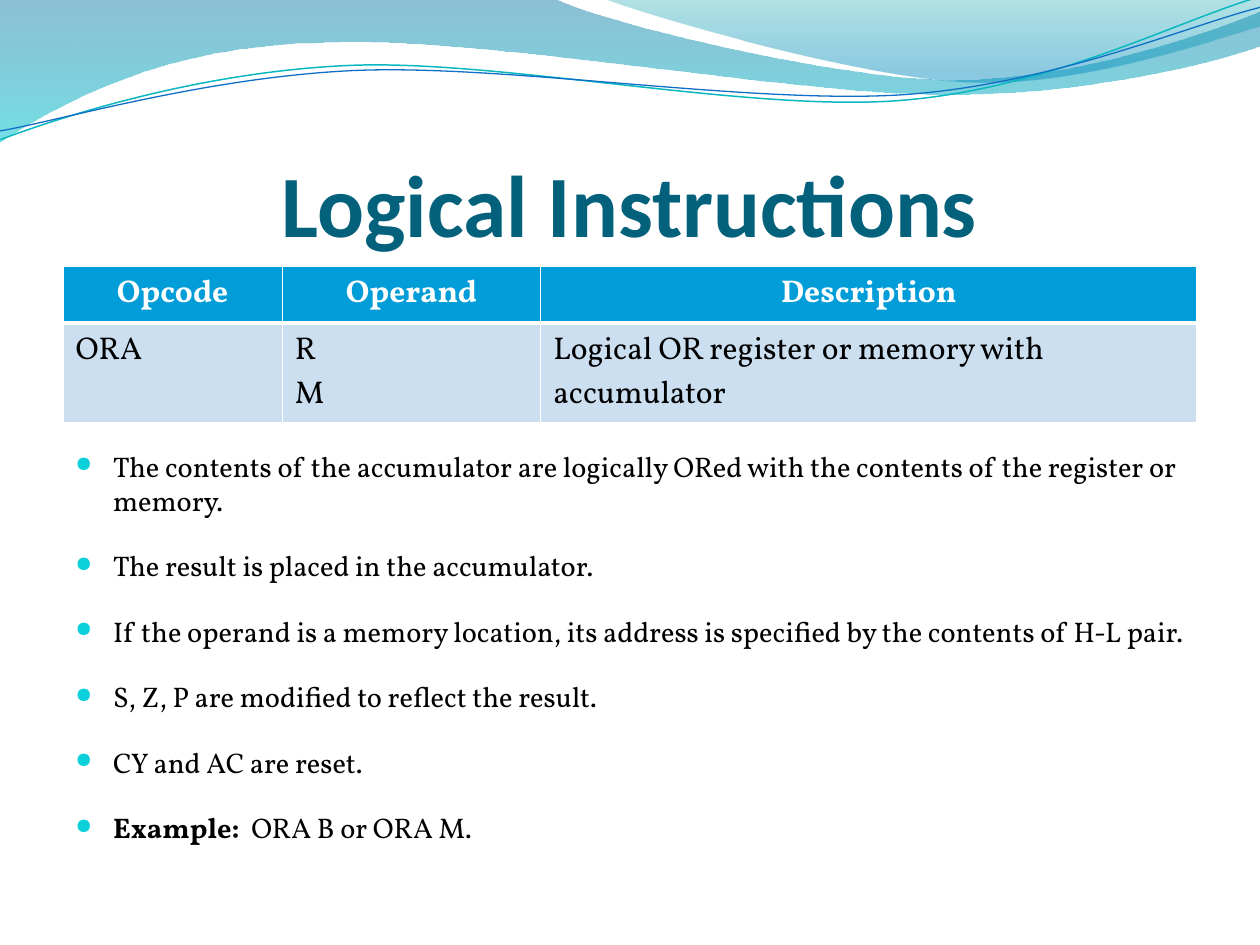
import pptx
import pptx.util
import pptx.dml.color
import pptx.enum.text
import pptx.oxml.ns
from lxml import etree

Cm = pptx.util.Cm
Pt = pptx.util.Pt
qn = pptx.oxml.ns.qn
hues = {
    "title": "04617B", "head": "009DD9", "body": "CCDFF1", "dot": "0BD0D9",
    "ink": "000000", "white": "FFFFFF", "teal": "0AB8BF", "blue": "0F6FC6",
    "deep": "0074A1", "aqua": "00C6CF", "sea": "00A1A9", "sky": "008BBF",
}


def rgb(name):
    return pptx.dml.color.RGBColor.from_string(hues[name])


def draw(box, steps):
    left, top, width, height = box
    pen = slide.shapes.build_freeform(Cm(left), Cm(top))
    pen.add_line_segments([(Cm(left + width), Cm(top + height))], close=False)
    shape = pen.convert_to_shape()
    shape.shadow.inherit = False
    trace = next(shape._element.iter(qn("a:path")))
    for node in list(trace):
        trace.remove(node)
    for kind, *spots in steps:
        node = etree.SubElement(trace, qn("a:" + kind))
        for x, y in spots:
            etree.SubElement(node, qn("a:pt"), x=str(Cm(x - left)), y=str(Cm(y - top)))
    return shape


deck = pptx.Presentation()
deck.slide_width, deck.slide_height = Cm(25.4), Cm(19.05)
slide = deck.slides.add_slide(deck.slide_layouts[6])

waves = [
    ((-0.03, -0.03, 25.46, 2.9), [
        ("moveTo", (0, -0.03)),
        ("lnTo", (11.18, -0.03)),
        ("cubicBezTo", (12.09, 0.43), (16.87, 1.6), (19.25, 1.6)),
        ("cubicBezTo", (21.67, 1.6), (24.33, 0.66), (25.4, 0.23)),
        ("lnTo", (25.43, 0.91)),
        ("cubicBezTo", (24.97, 1.12), (22.1, 1.93), (18.95, 1.9)),
        ("cubicBezTo", (15.8, 1.9), (9.7, 0.71), (6.53, 0.86)),
        ("cubicBezTo", (3.28, 0.89), (1.17, 2.11), (-0.03, 2.87)),
        ("lnTo", (0, -0.03)),
        ("close",),
    ], [("deep", 0, 45), ("aqua", 1, 55)]),
    ((12.17, -0.03, 13.23, 1.78), [
        ("moveTo", (12.17, -0.03)),
        ("cubicBezTo", (12.93, 0.28), (17.32, 1.57), (19.53, 1.65)),
        ("cubicBezTo", (21.74, 1.75), (24.41, 0.81), (25.4, 0.53)),
        ("lnTo", (25.4, 0)),
        ("lnTo", (12.17, -0.03)),
        ("close",),
    ], [("sea", 0, 30), ("sky", 0.8, 45)]),
]
for box, steps, stops in waves:
    wave = draw(box, steps)
    wave.line.fill.background()
    wave.fill.gradient()
    wave.fill.gradient_angle = 270
    for stop, (hue, place, alpha) in zip(wave.fill.gradient_stops, stops):
        stop.color.rgb = rgb(hue)
        stop.position = place
    for node, (hue, place, alpha) in zip(wave._element.spPr.iter(qn("a:srgbClr")), stops):
        etree.SubElement(node, qn("a:alpha"), val=str(alpha * 1000))

lines = [
    ((0, -0.05, 25.35, 2.87), [
        ("moveTo", (0, 2.82)),
        ("cubicBezTo", (1.22, 2.36), (4.01, 1.45), (7.04, 1.32)),
        ("cubicBezTo", (10.03, 1.19), (15.06, 2.26), (18.11, 2.03)),
        ("cubicBezTo", (21.16, 1.8), (23.83, 0.38), (25.35, -0.05)),
    ], "teal", 0.85),
    ((0, 0.15, 25.4, 2.49), [
        ("moveTo", (0, 2.64)),
        ("cubicBezTo", (1.19, 2.44), (4.17, 1.55), (7.19, 1.42)),
        ("cubicBezTo", (10.24, 1.3), (15.16, 2.11), (18.21, 1.91)),
        ("cubicBezTo", (21.23, 1.7), (23.9, 0.53), (25.4, 0.15)),
    ], "blue", 0.75),
]
for box, steps, hue, width in lines:
    line = draw(box, steps)
    line.fill.background()
    line.line.color.rgb = rgb(hue)
    line.line.width = Pt(width)

frame = slide.shapes.add_textbox(Cm(1.27), Cm(1.96), Cm(22.86), Cm(3.18)).text_frame
frame.word_wrap = True
frame.vertical_anchor = pptx.enum.text.MSO_ANCHOR.BOTTOM
frame.margin_left = frame.margin_right = frame.margin_bottom = 0
title = frame.paragraphs[0]
title.text = "Logical Instructions"
title.alignment = pptx.enum.text.PP_ALIGN.CENTER
title.font.name, title.font.size, title.font.bold = "Calibri", Pt(50), True
title.font.color.rgb = rgb("title")

rows = [
    ["Opcode", "Operand", "Description"],
    ["ORA", "R\nM", "Logical OR register or memory with accumulator"],
]
table = slide.shapes.add_table(2, 3, Cm(1.27), Cm(5.37), Cm(22.86), Cm(3.15)).table
for col, width in zip(table.columns, (4.42, 5.21, 13.23)):
    col.width = Cm(width)
for row, height in zip(table.rows, (1.14, 2.01)):
    row.height = Cm(height)
for r, row in enumerate(rows):
    head = r == 0
    for c, text in enumerate(row):
        cell = table.cell(r, c)
        cell.text = text
        for para in cell.text_frame.paragraphs:
            para.font.name, para.font.size, para.font.bold = "Vollkorn", Pt(18), head
            para.font.color.rgb = rgb("white" if head else "ink")
            if head:
                para.alignment = pptx.enum.text.PP_ALIGN.CENTER
        props = cell._tc.get_or_add_tcPr()
        for side in ("lnL", "lnR", "lnT", "lnB"):
            thick = side == ("lnB" if head else "lnT")
            edge = etree.SubElement(props, qn("a:" + side), w=str(Pt(3 if thick else 1)))
            paint = etree.SubElement(edge, qn("a:solidFill"))
            etree.SubElement(paint, qn("a:srgbClr"), val=hues["white"])
        cell.fill.solid()
        cell.fill.fore_color.rgb = rgb("head" if head else "body")

points = [
    "The contents of the accumulator are logically ORed with the contents of the register or memory.",
    "The result is placed in the accumulator.",
    "If the operand is a memory location, its address is specified by the contents of H-L pair.",
    "S, Z, P are modified to reflect the result.",
    "CY and AC are reset.",
    "ORA B or ORA M.",
]
frame = slide.shapes.add_textbox(Cm(1.27), Cm(8.92), Cm(22.86), Cm(8.64)).text_frame
frame.word_wrap = True
for i, text in enumerate(points):
    para = frame.add_paragraph() if i else frame.paragraphs[0]
    para.space_after = Pt(18)
    props = para._p.get_or_add_pPr()
    props.set("marL", str(Cm(0.76)))
    props.set("indent", str(Cm(-0.76)))
    paint = etree.SubElement(props, qn("a:buClr"))
    etree.SubElement(paint, qn("a:srgbClr"), val=hues["dot"])
    etree.SubElement(props, qn("a:buSzPct"), val="75000")
    etree.SubElement(props, qn("a:buChar"), char="●")
    para.font.name, para.font.size = "Vollkorn", Pt(16.2)
    para.font.color.rgb = rgb("ink")
    if text == points[-1]:
        label = para.add_run()
        label.text = "Example:"
        label.font.bold = True
        gap = para.add_run()
        gap.text = " "
        gap.font._element.set("spc", "340")
    para.add_run().text = text

deck.save("out.pptx")
